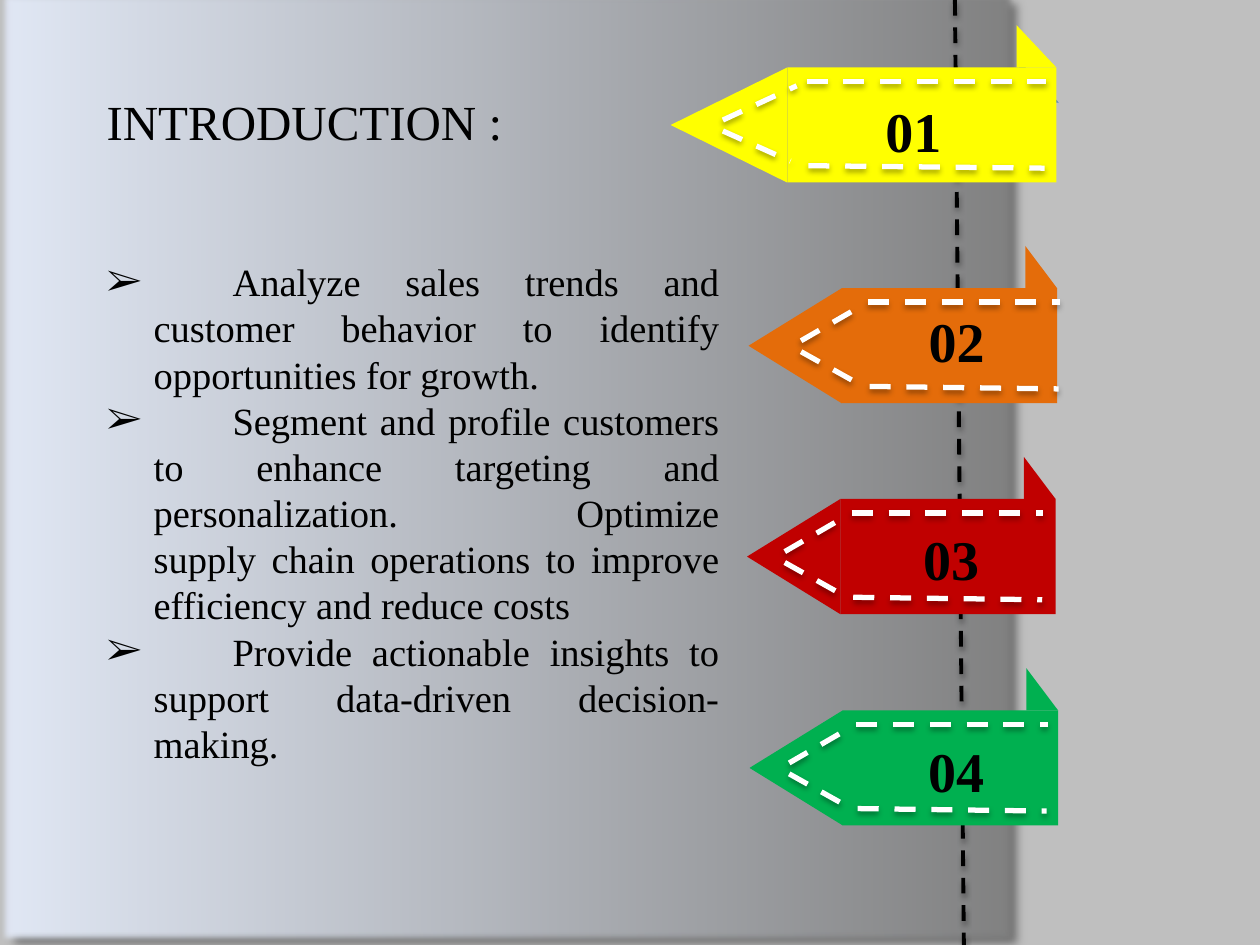
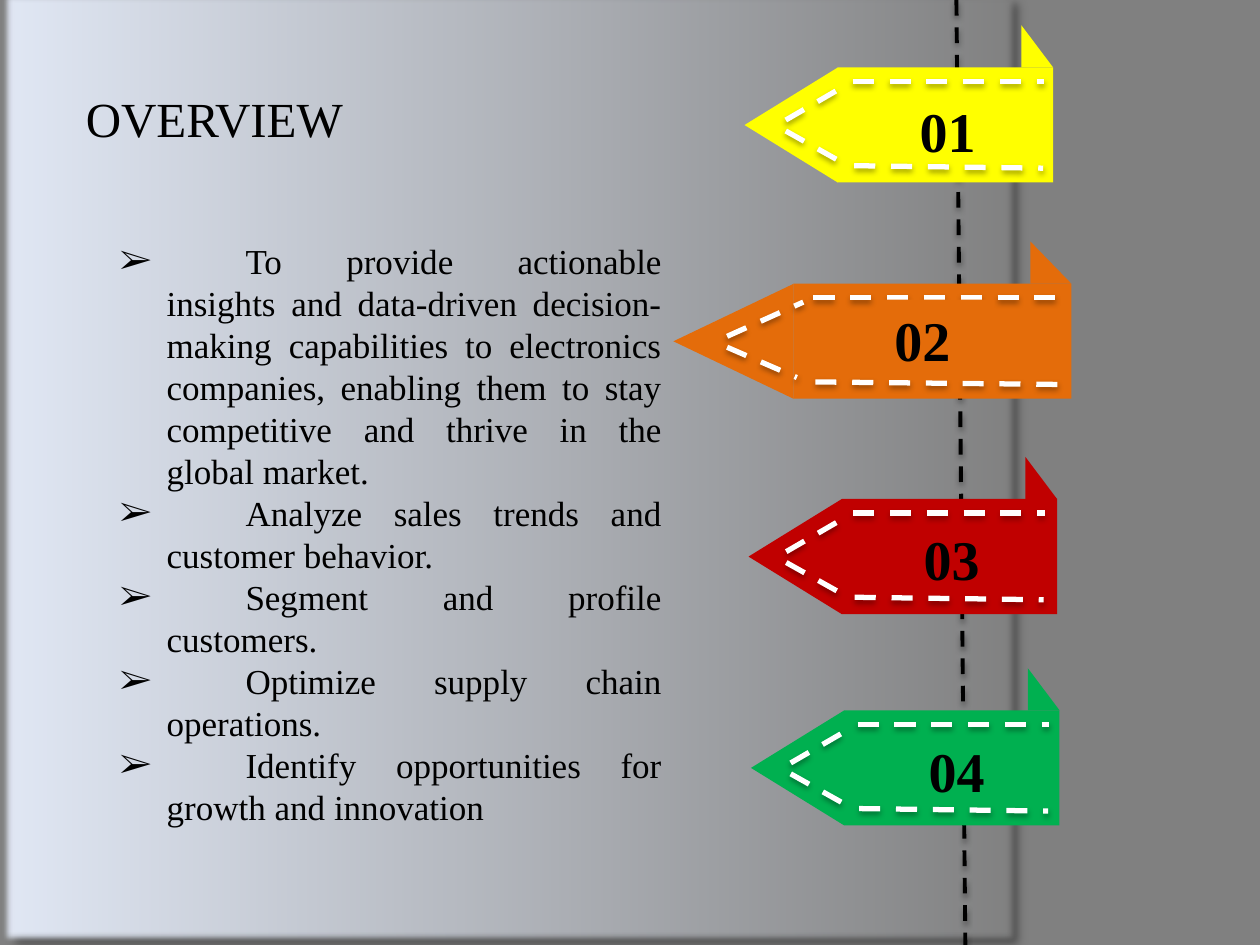
from dataclasses import dataclass

from lxml import etree
from pptx import Presentation
from pptx.dml.color import RGBColor
from pptx.enum.dml import MSO_LINE
from pptx.enum.shapes import MSO_CONNECTOR, MSO_SHAPE
from pptx.enum.text import PP_ALIGN
from pptx.oxml.ns import qn
from pptx.util import Cm, Pt

COLOURS = {
    "ink": "000000", "stitch": "FFFFFF", "panel_dark": "808080", "panel_light": "E1E8F5",
    "silver": "BFBFBF", "grey": "808080", "blue": "4F81BD",
    "yellow": "FFFF00", "orange": "E46C0A", "red": "C00000", "green": "00B050",
}
FONT = "Times New Roman"
FORMATS = {
    "title": {"name": FONT, "size": Pt(28)},
    "number": {"name": FONT, "size": Pt(32), "bold": True},
    "body": {"name": FONT},
}
LINE_SHADOW = {"blurRad": 40000, "dist": 23000, "dir": 5400000, "alpha": 35000}
PANEL_SHADOW = {"blurRad": 50800, "dist": 76200, "dir": 2700000, "alpha": 40000}
SLIDE_WIDTH, SLIDE_HEIGHT = 25.4, 19.05
TAG_HEIGHT = 2.32
FLAG_HEIGHT = 0.85


@dataclass
class Tag:
    """A numbered arrow; lengths in cm, label and stitch measured from its body."""
    number: str
    colour: str
    left: float
    top: float
    label_left: float
    label_top: float
    stitch_left: float = 0.3
    stretch: float = 1.0
    label_filled: bool = False
    back_flag: bool = False


def colour(name):
    return RGBColor.from_string(COLOURS[name])


def add_effects(shape, shadow, soft_edge=0):
    properties = shape._element.spPr
    for old in properties.findall(qn("a:effectLst")):
        properties.remove(old)
    effects = etree.SubElement(properties, qn("a:effectLst"))
    outer = etree.SubElement(effects, qn("a:outerShdw"), rotWithShape="0")
    for key in ("blurRad", "dist", "dir"):
        outer.set(key, str(shadow[key]))
    ink = etree.SubElement(outer, qn("a:srgbClr"), val=COLOURS["ink"])
    etree.SubElement(ink, qn("a:alpha"), val=str(shadow["alpha"]))
    if soft_edge:
        etree.SubElement(effects, qn("a:softEdge"), rad=str(soft_edge))


def add_block(slide, kind, box, fill):
    shape = slide.shapes.add_shape(kind, *map(Cm, box))
    shape.shadow.inherit = False
    shape.line.fill.background()
    shape.fill.solid()
    shape.fill.fore_color.rgb = colour(fill)
    return shape


def add_dashes(slide, start, end, line_colour, width):
    line = slide.shapes.add_connector(MSO_CONNECTOR.STRAIGHT, *map(Cm, (*start, *end)))
    line.line.color.rgb = colour(line_colour)
    line.line.width = Pt(width)
    line.line.dash_style = MSO_LINE.DASH
    add_effects(line, LINE_SHADOW)


def add_run(paragraph, text, **formats):
    run = paragraph.add_run()
    run.text = text
    run.font.color.rgb = colour("ink")
    for attribute, value in formats.items():
        setattr(run.font, attribute, value)


def add_text_box(slide, box):
    shape = slide.shapes.add_textbox(*map(Cm, box))
    shape.text_frame.word_wrap = True
    return shape


def add_backdrop(slide, background, left):
    """Background colour, gradient panel and the dashed thread."""
    slide.background.fill.solid()
    slide.background.fill.fore_color.rgb = colour(background)
    box = (left, -0.2, 20.52, SLIDE_HEIGHT + 0.2)
    panel = add_block(slide, MSO_SHAPE.RECTANGLE, box, "panel_dark")
    panel.fill.gradient()
    panel.fill.gradient_angle = 180
    for stop, name in zip(panel.fill.gradient_stops, ("panel_dark", "panel_light")):
        stop.color.rgb = colour(name)
    add_effects(panel, PANEL_SHADOW, soft_edge=31750)
    add_dashes(slide, (left + 19.25, 0), (left + 19.43, SLIDE_HEIGHT), "ink", 2.25)


def add_tag(slide, tag):
    stretch, top = tag.stretch, tag.top
    tip_width, body_width, flag_width = (w * stretch for w in (1.88, 4.34, 0.64))
    right = tag.left + body_width
    flag_left, flag_top = right - flag_width, top - FLAG_HEIGHT

    if tag.back_flag:
        box = (flag_left + 0.05, flag_top + 0.71, flag_width, FLAG_HEIGHT)
        add_block(slide, MSO_SHAPE.RIGHT_TRIANGLE, box, "blue")
    middle = tag.left - tip_width / 2
    tip_box = (middle - TAG_HEIGHT / 2, top + (TAG_HEIGHT - tip_width) / 2, TAG_HEIGHT, tip_width)
    tip = add_block(slide, MSO_SHAPE.ISOSCELES_TRIANGLE, tip_box, tag.colour)
    tip.rotation = 270
    add_block(slide, MSO_SHAPE.RIGHT_TRIANGLE,
              (flag_left, flag_top, flag_width, FLAG_HEIGHT), tag.colour)
    add_block(slide, MSO_SHAPE.RECTANGLE, (tag.left, top, body_width, TAG_HEIGHT), tag.colour)

    stitch_left = tag.left + tag.stitch_left
    stitches = [((0, 0.28), (3.86, 0.28)), ((0.03, 1.98), (3.84, 2.03)),
                ((-1.35, 1.06), (-0.16, 0.37)), ((-1.35, 1.28), (-0.26, 1.89))]
    for ends in stitches:
        start, end = ((stitch_left + x * stretch, top + y) for x, y in ends)
        add_dashes(slide, start, end, "stitch", 3)

    label_box = (tag.left + tag.label_left, top + tag.label_top, 1.76 * stretch, 1.62)
    label = add_text_box(slide, label_box)
    if tag.label_filled:
        label.fill.solid()
        label.fill.fore_color.rgb = colour(tag.colour)
    add_run(label.text_frame.paragraphs[0], tag.number, **FORMATS["number"])


def add_title(slide, text, box):
    title = add_text_box(slide, box)
    add_run(title.text_frame.paragraphs[0], text, **FORMATS["title"])


def add_bullets(slide, texts, box, size):
    frame = add_text_box(slide, box).text_frame
    for index, text in enumerate(texts):
        paragraph = frame.add_paragraph() if index else frame.paragraphs[0]
        paragraph.alignment = PP_ALIGN.JUSTIFY
        properties = paragraph._p.get_or_add_pPr()
        for key, length in (("marL", 0.95), ("indent", -0.95), ("defTabSz", 2.54)):
            properties.set(key, str(Cm(length)))
        etree.SubElement(properties, qn("a:buFont"), typeface=FONT)
        etree.SubElement(properties, qn("a:buChar"), char="➢")
        add_run(paragraph, "\t" + text, size=Pt(size), **FORMATS["body"])


def build_slide(presentation, background, panel_left, tags, title, bullets):
    slide = presentation.slides.add_slide(presentation.slide_layouts[6])
    add_backdrop(slide, background, panel_left)
    for tag in tags:
        add_tag(slide, tag)
    add_title(slide, *title)
    add_bullets(slide, *bullets)


def main():
    presentation = Presentation()
    presentation.slide_width, presentation.slide_height = Cm(SLIDE_WIDTH), Cm(SLIDE_HEIGHT)
    build_slide(
        presentation, "silver", 0,
        [Tag("01", "yellow", 15.87, 1.36, 1.73, 0.46, 0.39, 1.25, back_flag=True),
         Tag("02", "orange", 16.97, 5.81, 1.5, 0.25, 0.53),
         Tag("03", "red", 16.94, 10.06, 1.42, 0.38, 0.23),
         Tag("04", "green", 16.99, 14.32, 1.47, 0.41, 0.27)],
        ("INTRODUCTION :", (1.9, 1.73, 11.23, 1.45)),
        (["Analyze sales trends and customer behavior to identify opportunities for growth.",
          "Segment and profile customers to enhance targeting and personalization. "
          "\tOptimize supply chain operations to improve efficiency and reduce costs",
          "Provide actionable insights to support data-driven decision-making."],
         (1.9, 5.08, 12.85, 10.59), 22))
    build_slide(
        presentation, "grey", 0.03,
        [Tag("01", "yellow", 16.89, 1.36, 1.4, 0.46),
         Tag("02", "orange", 16, 5.72, 1.78, 0.32, 0.4, 1.29, label_filled=True),
         Tag("03", "red", 16.97, 10.06, 1.4, 0.38, 0.23),
         Tag("04", "green", 17.02, 14.32, 1.45, 0.41, 0.27)],
        ("OVERVIEW", (1.48, 1.65, 11, 1.45)),
        (["To provide actionable insights and data-driven decision-making capabilities to "
          "electronics companies, enabling them to stay competitive and thrive in the "
          "global market.",
          "Analyze sales trends and customer behavior. ",
          "Segment and profile customers.",
          "Optimize supply chain operations.",
          "Identify opportunities for growth and innovation"],
         (2.16, 4.7, 11.43, 12.22), 20))
    presentation.save("out.pptx")


if __name__ == "__main__":
    main()
